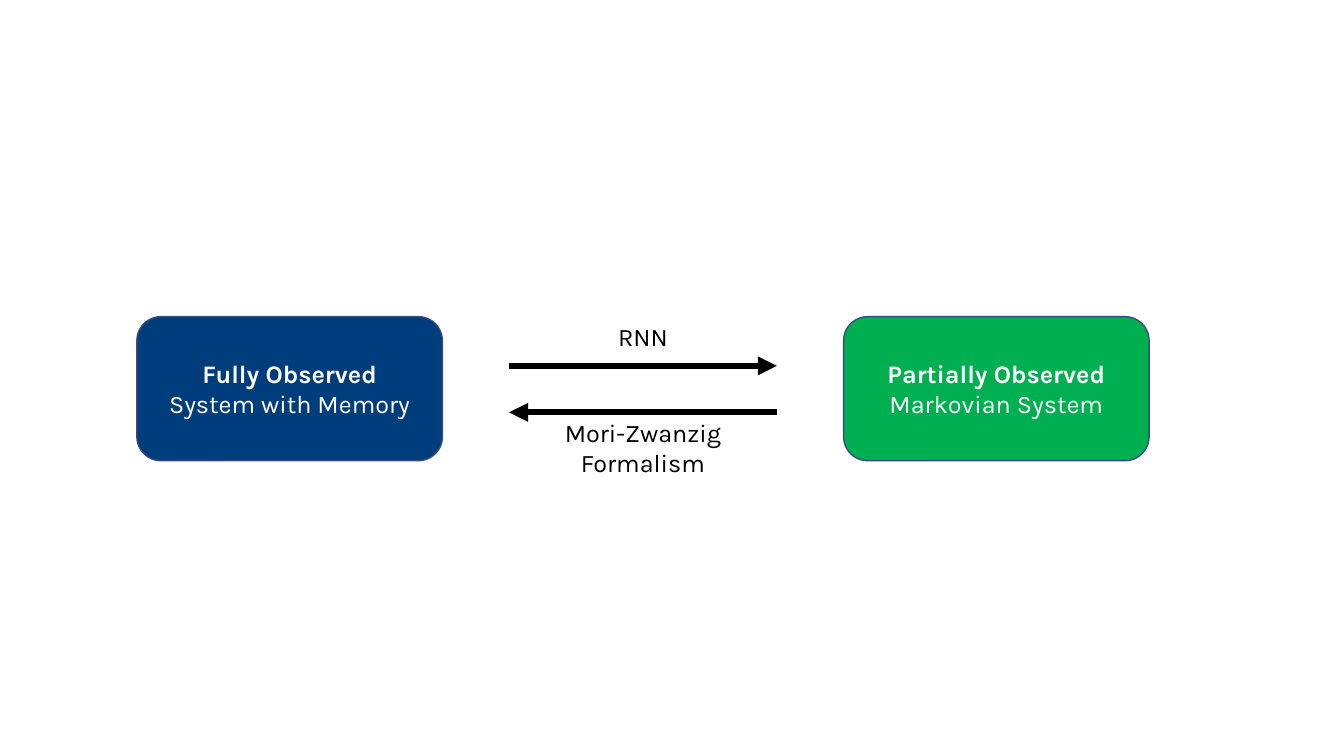
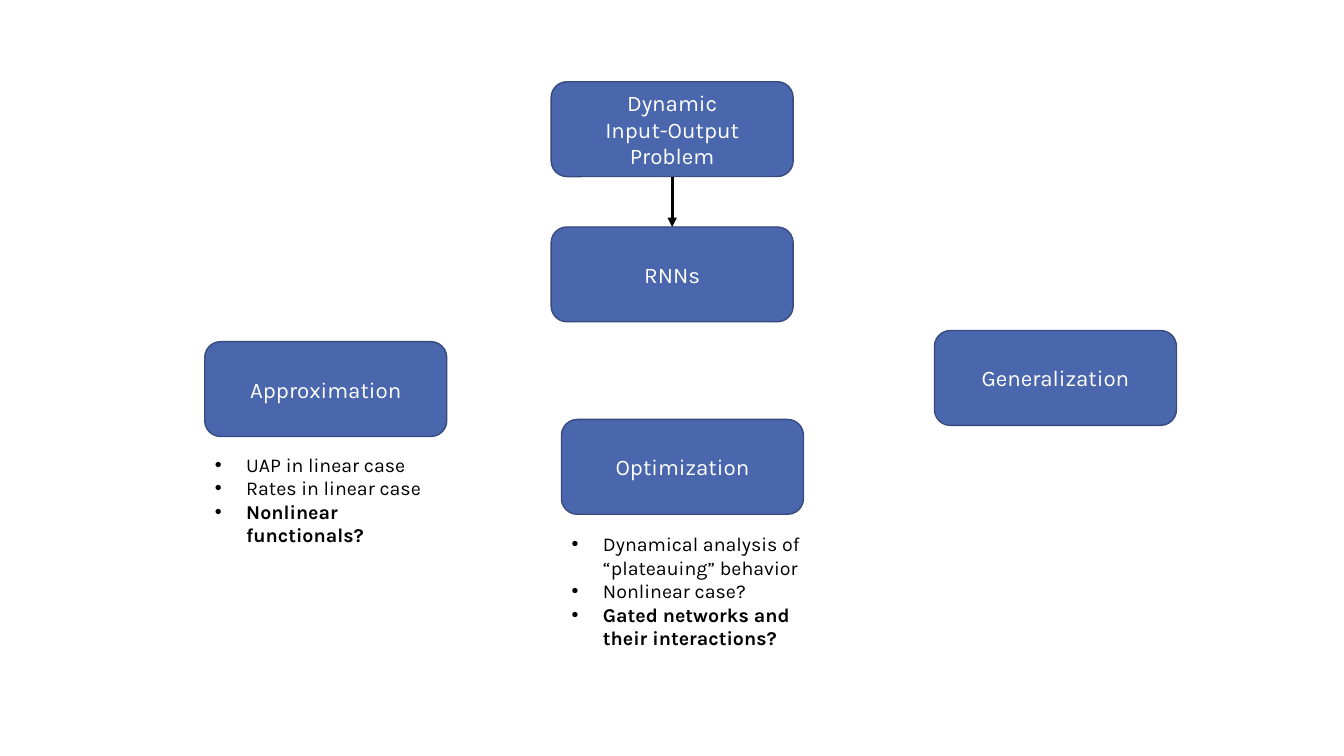
"""Build two diagram slides on recurrent networks and systems with memory."""
from dataclasses import dataclass

from lxml.etree import SubElement
from pptx import Presentation
from pptx.dml.color import RGBColor
from pptx.enum.shapes import MSO_CONNECTOR, MSO_SHAPE
from pptx.enum.text import MSO_ANCHOR, MSO_AUTO_SIZE, PP_ALIGN
from pptx.oxml.ns import qn
from pptx.shapes.autoshape import Shape
from pptx.shapes.connector import Connector
from pptx.slide import Slide
from pptx.text.text import TextFrame
from pptx.util import Cm, Pt


@dataclass(frozen=True)
class Theme:
    font: str = "Karla"
    navy: RGBColor = RGBColor(0x00, 0x3D, 0x7C)
    green: RGBColor = RGBColor(0x00, 0xB0, 0x50)
    blue: RGBColor = RGBColor(0x4A, 0x66, 0xAC)
    outline: RGBColor = RGBColor(0x37, 0x4B, 0x7F)
    black: RGBColor = RGBColor(0x00, 0x00, 0x00)
    white: RGBColor = RGBColor(0xFF, 0xFF, 0xFF)
    system_size: int = 18
    topic_size: int = 16
    list_size: int = 14


@dataclass(frozen=True)
class Line:
    text: str
    bold: bool = False


@dataclass(frozen=True)
class Box:
    left: float
    top: float
    width: float
    height: float
    lines: tuple[Line, ...]
    size: int
    fill: RGBColor | None = None


THEME = Theme()
BULLET_INDENT = Cm(0.79)


def system(left: float, fill: RGBColor, heading: str, detail: str) -> Box:
    return Box(left, 7.98, 7.7, 3.63, (Line(heading, True), Line(detail)), THEME.system_size, fill)


def topic(left: float, top: float, *texts: str) -> Box:
    return Box(left, top, 6.1, 2.39, tuple(map(Line, texts)), THEME.topic_size, THEME.blue)


def label(top: float, height: float, *texts: str) -> Box:
    return Box(13.69, top, 5.03, height, tuple(map(Line, texts)), THEME.system_size)


def findings(left: float, top: float, height: float, *lines: Line) -> Box:
    return Box(left, top, 6.68, height, lines, THEME.list_size)


SYSTEMS = (
    system(3.45, THEME.navy, "Fully Observed", "System with Memory"),
    system(21.26, THEME.green, "Partially Observed", "Markovian System"),
)
ARROW_LABELS = (
    label(7.98, 1.02, "RNN"),
    label(10.39, 1.8, "Mori-Zwanzig", "Formalism"),
)
PROBLEM = topic(13.89, 2.06, "Dynamic", "Input-Output Problem")
NETWORKS = topic(13.89, 5.72, "RNNs")
THEORY_TOPICS = (
    topic(5.16, 8.61, "Approximation"),
    topic(14.15, 10.57, "Optimization"),
    topic(23.55, 8.33, "Generalization"),
)
FINDINGS = (
    findings(5.16, 11.28, 2.06, Line("UAP in linear case"), Line("Rates in linear case"),
             Line("Nonlinear functionals?", True)),
    findings(14.15, 13.28, 3.25, Line("Dynamical analysis of “plateauing” behavior"),
             Line("Nonlinear case?"), Line("Gated networks and their interactions?", True)),
)


def write(frame: TextFrame, lines: tuple[Line, ...], *, size: int, color: RGBColor = THEME.black,
          align: PP_ALIGN = PP_ALIGN.CENTER, anchor: MSO_ANCHOR = MSO_ANCHOR.TOP,
          bullets: bool = False) -> None:
    frame.word_wrap = True
    frame.auto_size = MSO_AUTO_SIZE.NONE
    frame.vertical_anchor = anchor
    for index, line in enumerate(lines):
        paragraph = frame.add_paragraph() if index else frame.paragraphs[0]
        paragraph.alignment = align
        paragraph.space_before = Pt(0)
        if bullets:
            properties = paragraph._p.get_or_add_pPr()
            properties.set("marL", str(BULLET_INDENT))
            properties.set("indent", str(-BULLET_INDENT))
            SubElement(properties, qn("a:buFont"), typeface="Arial")
            SubElement(properties, qn("a:buChar"), char="•")
        run = paragraph.add_run()
        run.text = line.text
        run.font.name = THEME.font
        run.font.size = Pt(size)
        run.font.bold = line.bold
        run.font.color.rgb = color


def bounds(box: Box) -> tuple[Cm, Cm, Cm, Cm]:
    return Cm(box.left), Cm(box.top), Cm(box.width), Cm(box.height)


def add_block(slide: Slide, box: Box) -> Shape:
    block = slide.shapes.add_shape(MSO_SHAPE.ROUNDED_RECTANGLE, *bounds(box))
    block.shadow.inherit = False
    block.fill.solid()
    block.fill.fore_color.rgb = box.fill
    block.line.color.rgb = THEME.outline
    block.line.width = Pt(1)
    write(block.text_frame, box.lines, size=box.size, color=THEME.white, anchor=MSO_ANCHOR.MIDDLE)
    return block


def add_arrow(slide: Slide, start: tuple[float, float], end: tuple[float, float],
              width: float) -> Connector:
    arrow = slide.shapes.add_connector(MSO_CONNECTOR.STRAIGHT, *map(Cm, start + end))
    arrow.line.color.rgb = THEME.black
    arrow.line.width = Pt(width)
    SubElement(arrow.line._get_or_add_ln(), qn("a:tailEnd"), type="triangle")
    SubElement(arrow._element.spPr, qn("a:effectLst"))
    return arrow


def build_equivalence(slide: Slide) -> None:
    for box in SYSTEMS:
        add_block(slide, box)
    left, right = 12.83, 19.58
    add_arrow(slide, (left, 9.22), (right, 9.22), 4.5)
    add_arrow(slide, (right, 10.39), (left, 10.39), 4.5)
    for box in ARROW_LABELS:
        write(slide.shapes.add_textbox(*bounds(box)).text_frame, box.lines, size=box.size)


def build_overview(slide: Slide) -> None:
    title, *bodies = slide.placeholders
    title._element.getparent().remove(title._element)
    for body, box in zip(bodies, FINDINGS):
        body.left, body.top, body.width, body.height = bounds(box)
        write(body.text_frame, box.lines, size=box.size, align=PP_ALIGN.LEFT, bullets=True)
    problem, networks = add_block(slide, PROBLEM), add_block(slide, NETWORKS)
    center = PROBLEM.left + PROBLEM.width / 2
    arrow = add_arrow(slide, (center, PROBLEM.top + PROBLEM.height), (center, NETWORKS.top), 2.25)
    arrow.begin_connect(problem, 2)
    arrow.end_connect(networks, 0)
    for box in THEORY_TOPICS:
        add_block(slide, box)


def main() -> None:
    deck = Presentation()
    deck.slide_width, deck.slide_height = Cm(33.87), Cm(19.05)
    blank, two_lists = deck.slide_layouts[6], deck.slide_layouts[3]
    build_equivalence(deck.slides.add_slide(blank))
    build_overview(deck.slides.add_slide(two_lists))
    deck.save("out.pptx")


if __name__ == "__main__":
    main()
